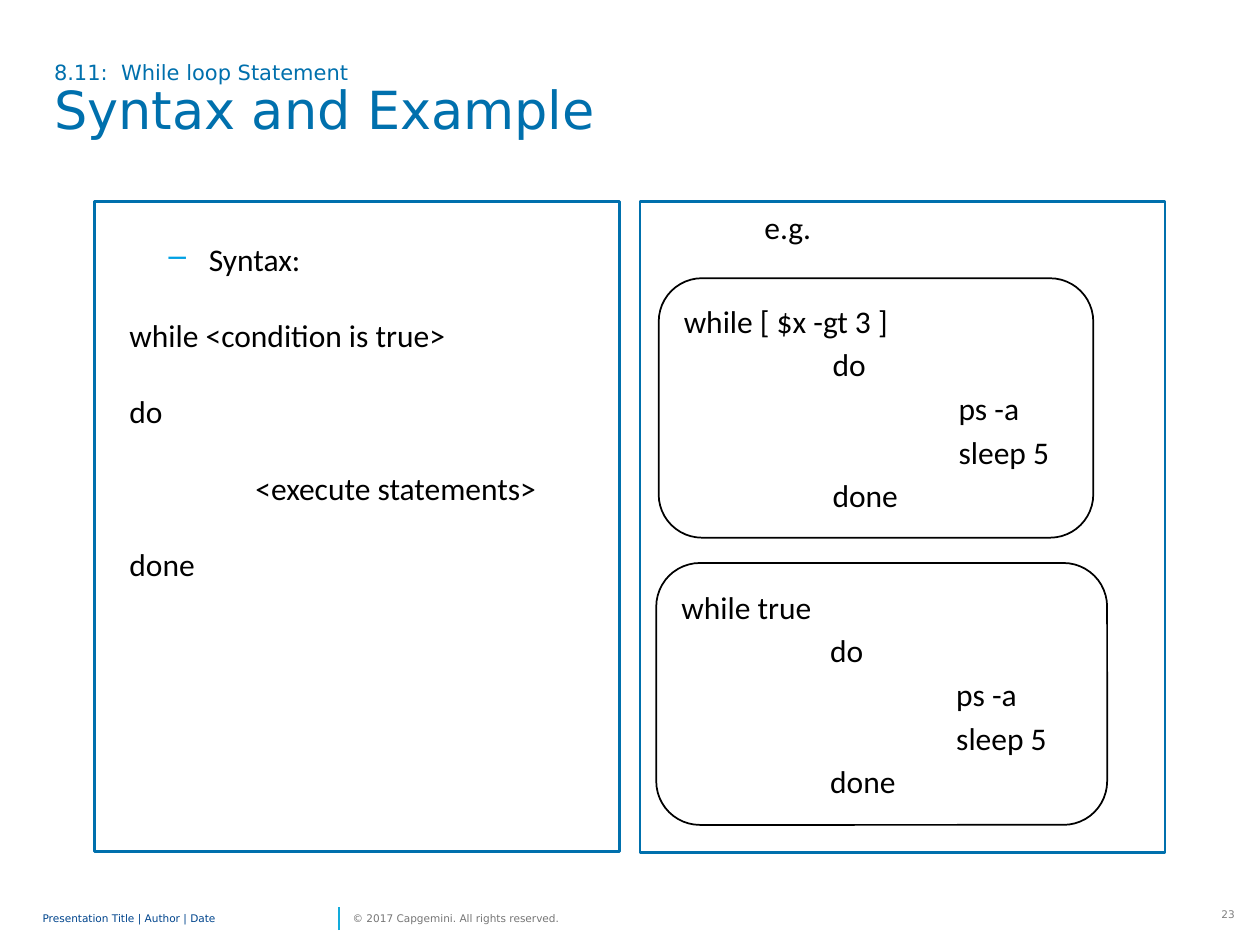
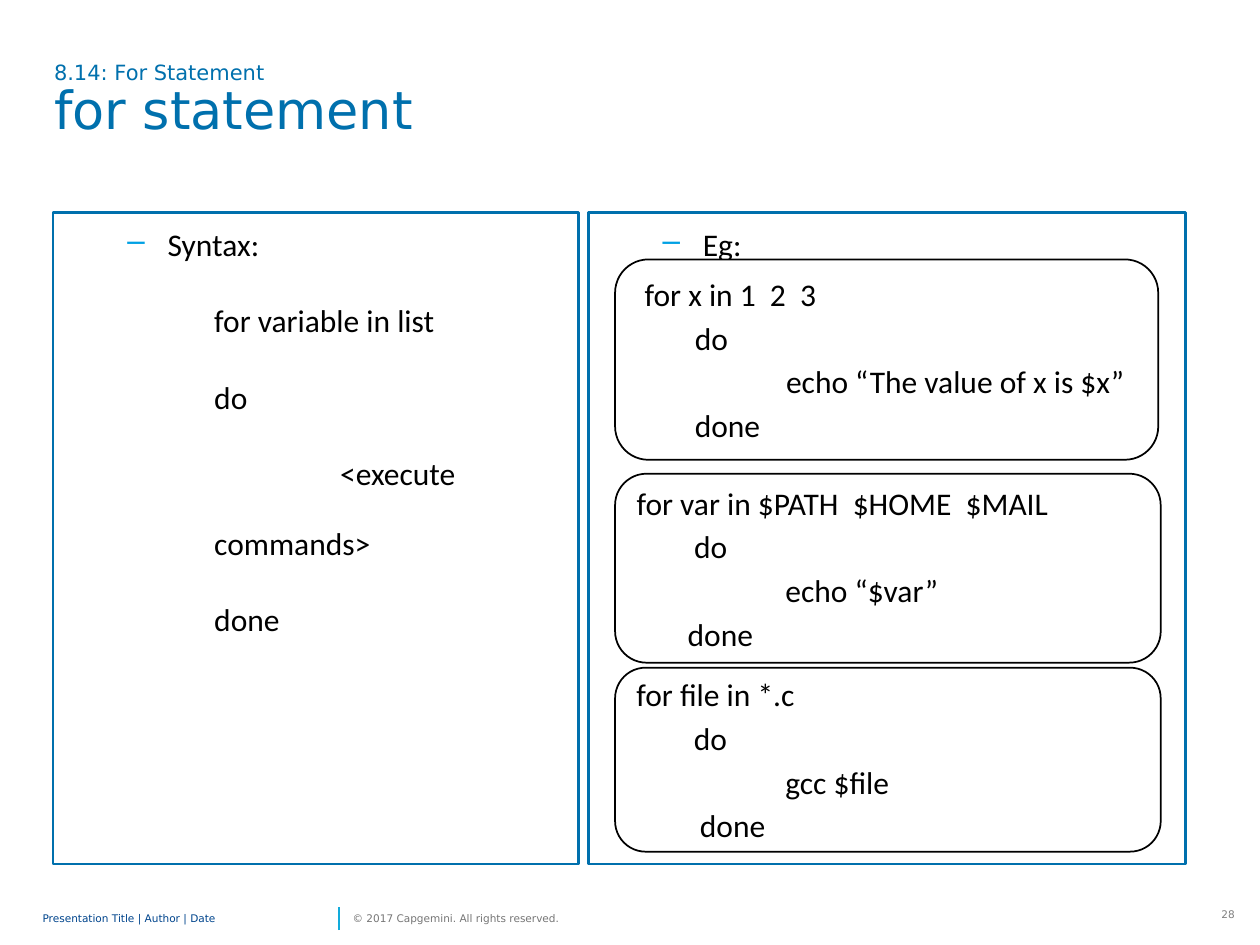
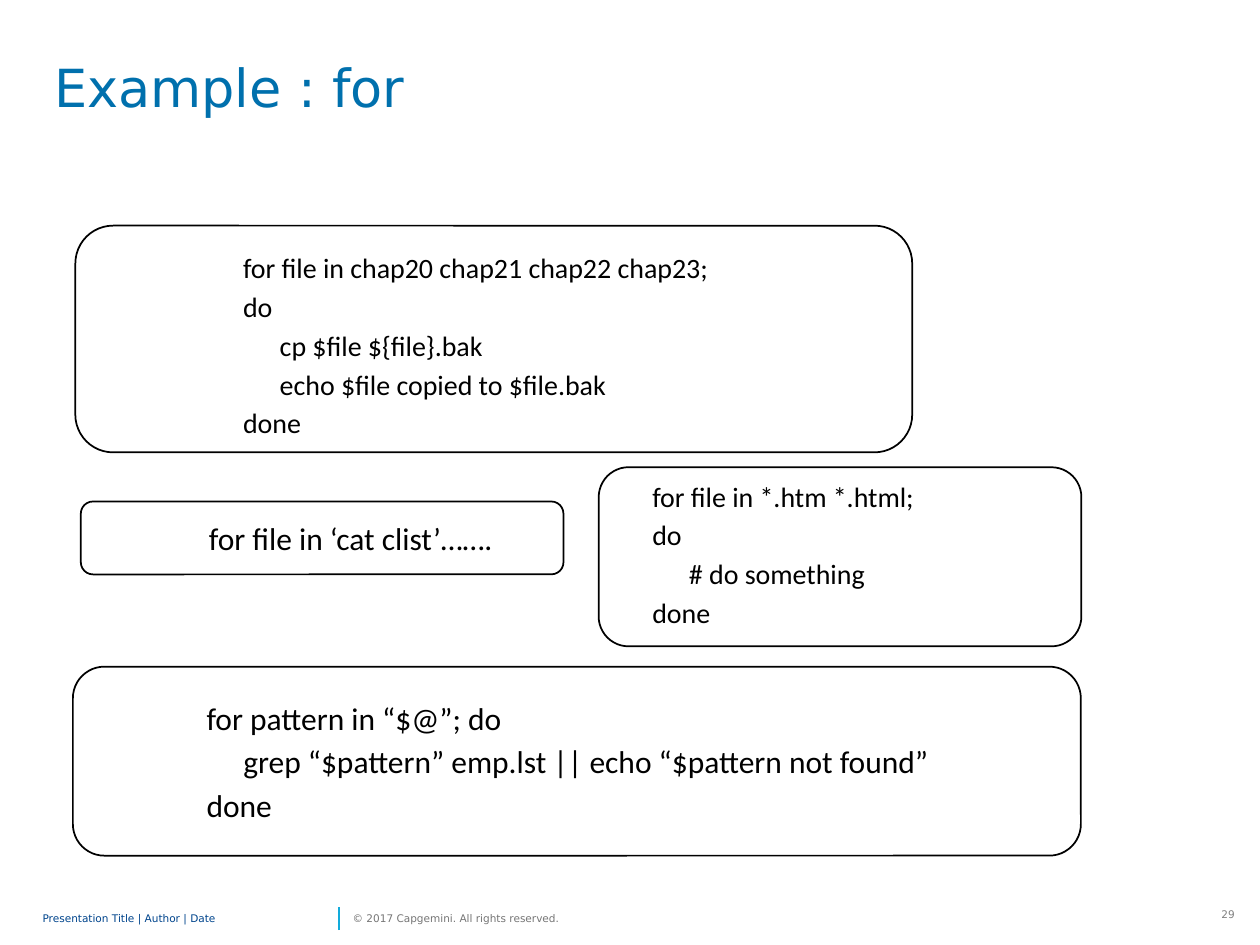
from dataclasses import dataclass
from enum import Enum

from lxml.etree import SubElement
from pptx import Presentation
from pptx.dml.color import RGBColor
from pptx.enum.shapes import MSO_CONNECTOR, MSO_SHAPE
from pptx.enum.text import MSO_ANCHOR, PP_ALIGN
from pptx.oxml.ns import qn
from pptx.util import Cm, Pt

BLUE = RGBColor(0x00, 0x70, 0xAD)
SKY = RGBColor(0x00, 0xA1, 0xE4)
CYAN = RGBColor(0x12, 0xAB, 0xDB)
NAVY = RGBColor(0x00, 0x45, 0x8D)
GRAY = RGBColor(0x80, 0x80, 0x80)
DIM = RGBColor(0x76, 0x76, 0x76)
BLACK = RGBColor(0, 0, 0)
WHITE = RGBColor(0xFF, 0xFF, 0xFF)

HEAD_FONT = "DejaVu Sans"
BODY_FONT = "Calibri"

# Indents of the code lines, in cm
TAB = 2.54
BASE = 0.46
HANG = 2.26
DEEP = 3.0
STEP = 1.16


class Kind(Enum):
    PANEL = 1
    CARD = 2
    NOTE = 3


@dataclass(frozen=True)
class Line:
    text: str
    left: float = 0
    first: float = 0
    pitch: float = 0
    bullet: bool = False


@dataclass(frozen=True)
class Box:
    kind: Kind
    left: float
    top: float
    width: float
    height: float
    lines: tuple[Line, ...] = ()
    size: int = 18


@dataclass(frozen=True)
class Page:
    number: int
    title: str
    boxes: tuple[Box, ...]
    topic: str = ""


def style(para, size: float, color: RGBColor, font: str) -> None:
    for run in para.runs:
        run.font.size = Pt(size)
        run.font.name = font
        run.font.color.rgb = color


def add_text(slide, left: float, top: float, width: float, height: float,
             inset: tuple[float, float] = (0, 0)):
    frame = slide.shapes.add_textbox(
        Cm(left), Cm(top), Cm(width), Cm(height)).text_frame
    frame.word_wrap = True
    frame.margin_left = frame.margin_right = Cm(inset[0])
    frame.margin_top = frame.margin_bottom = Cm(inset[1])
    return frame


def add_title(slide, page: Page) -> None:
    frame = add_text(slide, 0.84, 1.12, 22.81, 2.41, (0.25, 0.13))
    parts = [(page.topic, 12), (page.title, 30)]
    parts = [part for part in parts if part[0]]
    frame.text = "\n".join(text for text, _ in parts)
    for para, (_, size) in zip(frame.paragraphs, parts):
        para.line_spacing = 0.9
        style(para, size, BLUE, HEAD_FONT)


def add_footer(slide, number: int) -> None:
    rule = slide.shapes.add_connector(
        MSO_CONNECTOR.STRAIGHT, Cm(6.83), Cm(18.75), Cm(6.83), Cm(18.29))
    rule.line.color.rgb = CYAN
    rule.line.width = Pt(1)
    SubElement(rule.element.spPr, qn("a:effectLst"))

    labels = (
        (0.86, 5.89, "Presentation Title | Author | Date", NAVY),
        (7.11, 4.62, "© 2017 Capgemini. All rights reserved.", DIM),
    )
    for left, width, text, color in labels:
        frame = add_text(slide, left, 18.21, width, 0.61)
        frame.vertical_anchor = MSO_ANCHOR.MIDDLE
        frame.text = text
        style(frame.paragraphs[0], 6, color, HEAD_FONT)

    frame = add_text(slide, 24.31, 18.21, 0.76, 0.46, (0.18, 0.1))
    frame.text = str(number)
    frame.paragraphs[0].alignment = PP_ALIGN.RIGHT
    style(frame.paragraphs[0], 6, GRAY, HEAD_FONT)


def fill_lines(frame, box: Box) -> None:
    frame.text = "\n".join(line.text for line in box.lines)
    for index, (para, line) in enumerate(zip(frame.paragraphs, box.lines)):
        props = para._p.get_or_add_pPr()
        props.set("marL", str(Cm(line.left)))
        props.set("indent", str(Cm(line.first)))
        if line.bullet:
            tint = SubElement(props, qn("a:buClr"))
            SubElement(tint, qn("a:srgbClr"), val=str(SKY))
            SubElement(props, qn("a:buChar"), char="–")
        if line.pitch:
            para.line_spacing = Pt(line.pitch)
        if index:
            para.space_before = Pt(box.size * (0.2 if line.pitch else 0.185))
        style(para, box.size, BLACK, BODY_FONT)


def add_box(slide, box: Box) -> None:
    place = (box.left, box.top, box.width, box.height)
    if box.kind is Kind.NOTE:
        fill_lines(add_text(slide, *place, (0.25, 0.13)), box)
        return
    card = box.kind is Kind.CARD
    shape = slide.shapes.add_shape(
        MSO_SHAPE.ROUNDED_RECTANGLE if card else MSO_SHAPE.RECTANGLE,
        *map(Cm, place))
    shape.shadow.inherit = False
    if card:
        shape.fill.solid()
        shape.fill.fore_color.rgb = WHITE
    else:
        shape.fill.background()
    shape.line.color.rgb = BLACK if card else BLUE
    shape.line.width = Pt(1 if card else 1.5)
    if box.lines:
        frame = shape.text_frame
        frame.word_wrap = True
        frame.vertical_anchor = MSO_ANCHOR.MIDDLE if card else MSO_ANCHOR.TOP
        fill_lines(frame, box)
        for para in frame.paragraphs:
            para.alignment = PP_ALIGN.LEFT


def label(text: str, pitch: float) -> Line:
    return Line(text, 2.06, -0.81, pitch, True)


def syntax(head: str, body: str, left: float) -> tuple[Line, ...]:
    rows = ((head, 0), ("do", 0), (body, TAB), ("done", 0))
    return tuple(Line(text, left, first, 40) for text, first in rows)


def wait(head: str) -> tuple[Line, ...]:
    return (Line(head), Line("do", DEEP), Line("ps -a", DEEP + TAB),
            Line("sleep 5", DEEP + TAB), Line("done", DEEP))


def loop(head: str, body: str, end: float, start: float = 0) -> tuple[Line, ...]:
    return (Line(head, start), Line("do", STEP), Line(body, DEEP),
            Line("done", end))


def block(head: str, *body: str) -> tuple[Line, ...]:
    return (Line(head, HANG), Line("do", HANG),
            *(Line(text, DEEP) for text in body), Line("done", HANG))


PAGES = (
    Page(23, "Syntax and Example", (
        Box(Kind.PANEL, 1.9, 4.06, 10.59, 13.11, (
            label("Syntax:", 40),
            *syntax("while <condition is true>", "<execute statements>", BASE))),
        Box(Kind.PANEL, 12.9, 4.06, 10.59, 13.13, (Line("e.g.", HANG),)),
        Box(Kind.CARD, 13.28, 5.61, 8.76, 5.23, wait("while [ $x -gt 3 ]")),
        Box(Kind.CARD, 13.23, 11.35, 9.09, 5.28, wait("while true")),
    ), "8.11:  While loop Statement"),
    Page(28, "for statement", (
        Box(Kind.PANEL, 1.07, 4.29, 10.59, 13.13, (
            label("Syntax:", 25),
            *syntax("for variable in list", "<execute commands>", DEEP))),
        Box(Kind.PANEL, 11.86, 4.29, 12.04, 13.13, (label("Eg:", 25),)),
        Box(Kind.CARD, 12.4, 5.23, 10.95, 4.04,
            loop("for x in 1  2  3", "echo “The value of x is $x”", STEP, 0.15)),
        Box(Kind.CARD, 12.4, 9.55, 11, 3.81,
            loop("for var in $PATH  $HOME  $MAIL", "echo “$var”", 1.03)),
        Box(Kind.CARD, 12.4, 13.46, 11, 3.71,
            loop("for file in *.c", "gcc $file", 1.28)),
    ), "8.14: For Statement"),
    Page(29, "Example : for", (
        Box(Kind.CARD, 1.52, 4.55, 16.87, 4.57),
        Box(Kind.CARD, 1.63, 10.11, 9.73, 1.47,
            (Line("for file in ‘cat clist’…….", HANG),)),
        Box(Kind.CARD, 12.07, 9.42, 9.73, 3.61),
        Box(Kind.CARD, 1.47, 13.44, 20.32, 3.81, (
            Line("for pattern in “$@”; do", HANG),
            Line("grep “$pattern” emp.lst || echo “$pattern not found”", DEEP),
            Line("done", HANG))),
        Box(Kind.NOTE, 2.39, 4.93, 12.7, 4.22,
            block("for file in chap20 chap21 chap22 chap23;",
                  "cp $file ${file}.bak", "echo $file copied to $file.bak"), 16),
        Box(Kind.NOTE, 10.64, 9.53, 9.93, 3.4,
            block("for file in *.htm *.html;", "# do something"), 16),
    )),
)


def main() -> None:
    deck = Presentation()
    deck.slide_width, deck.slide_height = Cm(25.4), Cm(19.05)
    for page in PAGES:
        slide = deck.slides.add_slide(deck.slide_layouts[6])
        add_footer(slide, page.number)
        add_title(slide, page)
        for box in page.boxes:
            add_box(slide, box)
    deck.save("out.pptx")


if __name__ == "__main__":
    main()
